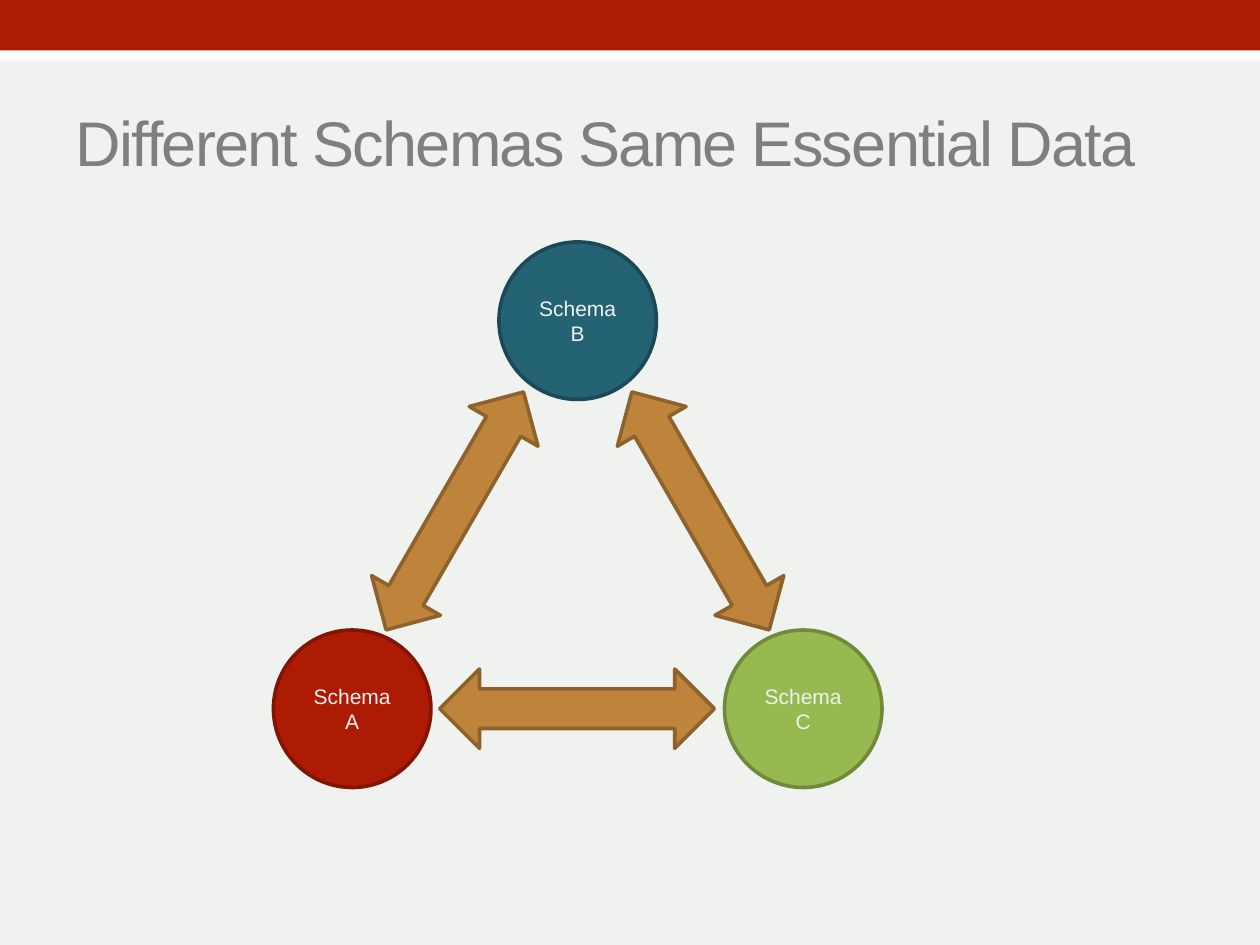
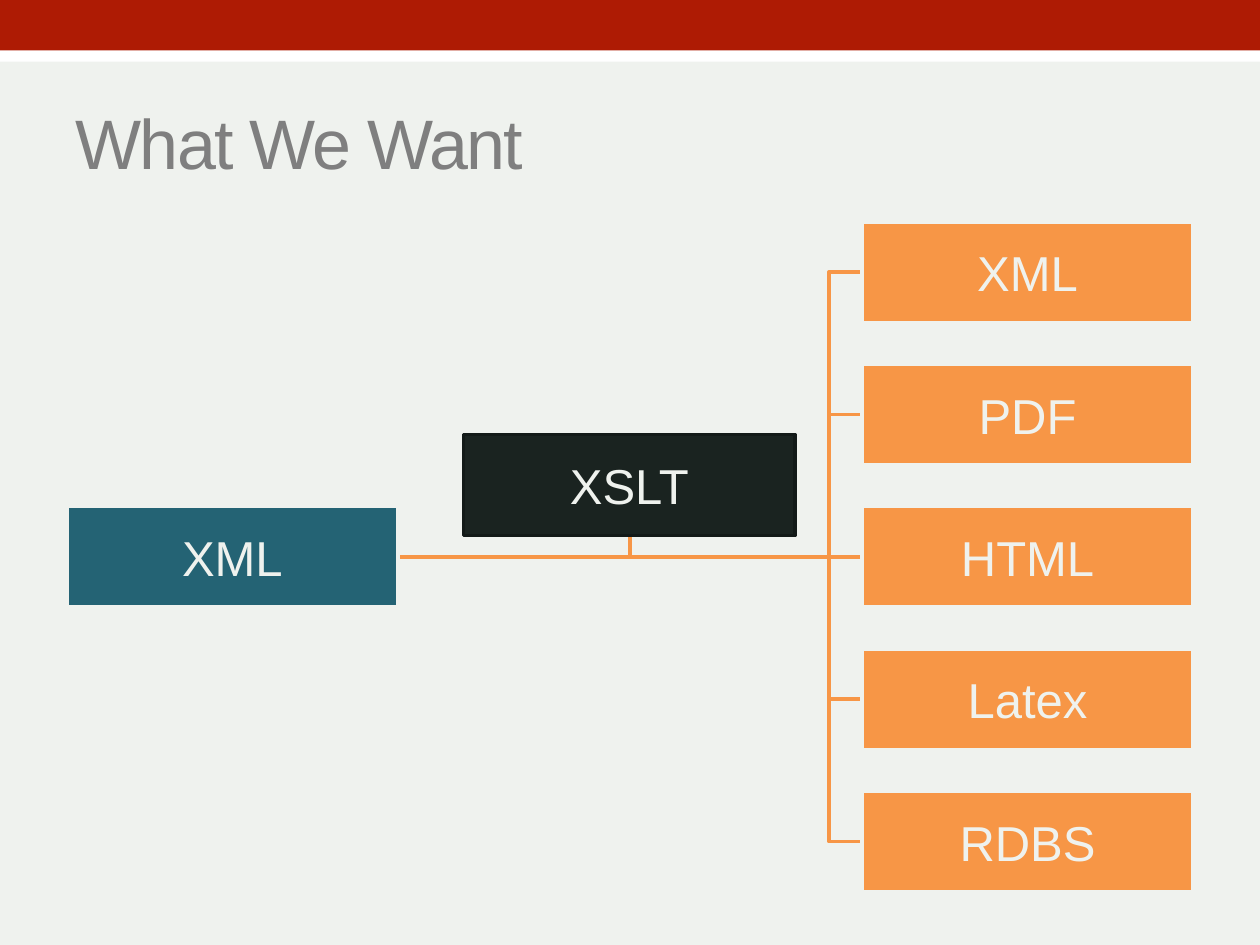
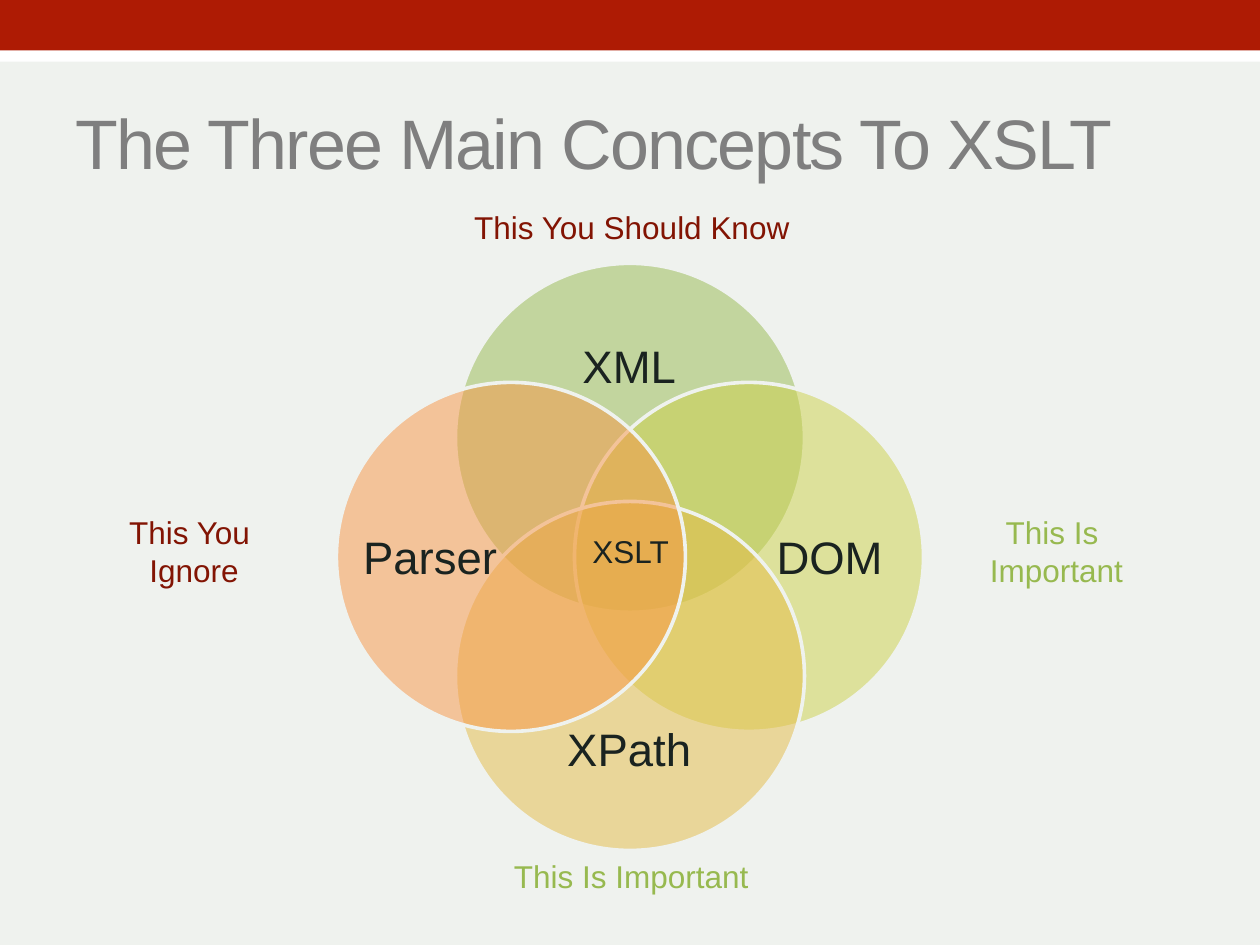
import dataclasses
import typing

import pptx
import pptx.dml.color
import pptx.enum.shapes
import pptx.enum.text
import pptx.oxml
import pptx.oxml.ns
import pptx.util
from lxml import etree

Inches = pptx.util.Inches
Kind = pptx.enum.shapes.MSO_SHAPE
Align = pptx.enum.text.PP_ALIGN
Anchor = pptx.enum.text.MSO_ANCHOR
Fit = pptx.enum.text.MSO_AUTO_SIZE

HUES = {
    "paper": "EFF2EE", "white": "FFFFFF", "title": "7F7F7F", "ink": "1A2320",
    "edge": "131A18", "red": "AE1B04", "maroon": "811403", "warn": "821403",
    "teal": "246374", "navy": "1B4956", "green": "97B94F", "moss": "70893A",
    "tan": "BF843B", "brown": "8D622C", "orange": "F79646",
    "lime": "CCD149", "gold": "E5BC46",
}
FONT = "Arial"
LINE = pptx.util.Pt(2.08)


@dataclasses.dataclass
class Item:
    """A filled shape, with optional text, outline, turn and opacity."""
    kind: Kind
    x: float
    y: float
    w: float
    h: float
    fill: str
    line: str = ""
    text: str = ""
    size: float = 12
    inset: float = 0.1
    turn: float = 0
    alpha: int = 100


@dataclasses.dataclass
class Label:
    """Free text; a label that grows is not wrapped."""
    x: float
    y: float
    w: float
    h: float
    lines: tuple[str, ...]
    size: float
    hue: str = "ink"
    grow: bool = False


def tint(name: str) -> pptx.dml.color.RGBColor:
    return pptx.dml.color.RGBColor.from_string(HUES[name])


def place(x: float, y: float, w: float, h: float) -> list[int]:
    return [Inches(n) for n in (x, y, w, h)]


def write(frame: typing.Any, lines: typing.Iterable[str], size: float, hue: str,
          align: Align = Align.CENTER) -> None:
    for i, line in enumerate(lines):
        para = frame.add_paragraph() if i else frame.paragraphs[0]
        para.alignment = align
        run = para.add_run()
        run.text = line
        run.font.name = FONT
        run.font.size = pptx.util.Pt(size)
        run.font.color.rgb = tint(hue)


def pad(frame: typing.Any, inset: float) -> None:
    frame.margin_left = frame.margin_right = Inches(inset)
    frame.margin_top = frame.margin_bottom = Inches(min(inset, 0.05))


def draw(slide: typing.Any, item: Item) -> typing.Any:
    shape = slide.shapes.add_shape(item.kind, *place(item.x, item.y, item.w, item.h))
    shape.shadow.inherit = False
    shape.rotation = item.turn
    shape.fill.solid()
    shape.fill.fore_color.rgb = tint(item.fill)
    if item.alpha < 100:
        color = shape.element.spPr.find(".//" + pptx.oxml.ns.qn("a:srgbClr"))
        alpha = etree.SubElement(color, pptx.oxml.ns.qn("a:alpha"))
        alpha.set("val", str(item.alpha * 1000))
    if item.line:
        shape.line.color.rgb = tint(item.line)
        shape.line.width = LINE
    else:
        shape.line.fill.background()
    if item.text:
        frame = shape.text_frame
        frame.word_wrap = True
        frame.vertical_anchor = Anchor.MIDDLE
        pad(frame, item.inset)
        write(frame, [item.text], item.size, "paper")
    return shape


def note(slide: typing.Any, label: Label) -> None:
    box = slide.shapes.add_textbox(*place(label.x, label.y, label.w, label.h))
    frame = box.text_frame
    frame.word_wrap = not label.grow
    if label.grow:
        frame.auto_size = Fit.SHAPE_TO_FIT_TEXT
    else:
        frame.vertical_anchor = Anchor.MIDDLE
        pad(frame, 0)
    write(frame, label.lines, label.size, label.hue)


def trace(slide: typing.Any, points: list[tuple[float, float]]) -> None:
    """Draw an open branch through the points."""
    first, *rest = [(Inches(x), Inches(y)) for x, y in points]
    pen = slide.shapes.build_freeform(*first)
    pen.add_line_segments(rest, close=False)
    shape = pen.convert_to_shape()
    shape.shadow.inherit = False
    shape.fill.background()
    shape.line.color.rgb = tint("orange")
    shape.line.width = LINE


def start(prs: typing.Any, text: str, size: float = 40) -> typing.Any:
    """Add a slide with its title."""
    slide = prs.slides.add_slide(prs.slide_layouts[5])
    title = slide.shapes.title
    title.left, title.top, title.width, title.height = place(0.5, 0.58, 9, 1.08)
    frame = title.text_frame
    frame.auto_size = Fit.NONE
    frame.vertical_anchor = Anchor.MIDDLE
    write(frame, [text], size, "title", Align.LEFT)
    frame.paragraphs[0].runs[0].font._element.set("spc", "-100")
    return slide


def dress(prs: typing.Any, slide: typing.Any) -> None:
    """Give the master its background and two bands."""
    master = prs.slide_master
    master.background.fill.solid()
    master.background.fill.fore_color.rgb = tint("paper")
    bands = [Item(Kind.RECTANGLE, 0, 0.24, 10, 0.25, "white"),
             Item(Kind.RECTANGLE, 0, 0, 10, 0.4, "red")]
    for i, band in enumerate(bands):
        master.element.cSld.spTree.insert(2 + i, draw(slide, band).element)


def cycle(prs: typing.Any) -> None:
    slide = start(prs, "Different Schemas Same Essential Data", 36)
    dress(prs, slide)
    # Schemas at the corners of a triangle
    nodes = [("A", 5, "red", "maroon"), ("B", 1.92, "teal", "navy"),
             ("C", 5, "green", "moss")]
    for i, (name, y, fill, line) in enumerate(nodes):
        draw(slide, Item(Kind.OVAL, 2.17 + 1.79 * i, y, 1.25, 1.25, fill, line,
                         f"Schema {name}"))
    # Arrows along the sides
    for x, y, turn in [(2.52, 3.74, 300), (3.49, 5.31, 0), (4.47, 3.74, 60)]:
        draw(slide, Item(Kind.LEFT_RIGHT_ARROW, x, y, 2.18, 0.63, "tan", "brown",
                         turn=turn))


def tree(prs: typing.Any) -> None:
    slide = start(prs, "What We Want")
    wide, high, step = 2.63, 0.8, 1.13
    left, right, bend, mid = 3.16, 6.84, 6.58, 4.42
    names = ["XML", "PDF", "HTML", "Latex", "RDBS"]
    rows = [mid + step * (i - 2) for i in range(len(names))]
    # Branches
    trace(slide, [(left, mid), (5, mid), (5, 4.25)])
    for y in rows:
        if y != mid:
            trace(slide, [(left, mid), (bend, mid), (bend, y), (right, y)])
    trunk = slide.shapes.add_connector(
        pptx.enum.shapes.MSO_CONNECTOR.STRAIGHT,
        Inches(left), Inches(mid), Inches(right), Inches(mid))
    trunk.line.color.rgb = tint("orange")
    trunk.line.width = LINE
    etree.SubElement(trunk.element.spPr, pptx.oxml.ns.qn("a:effectLst"))
    # Source, outputs and the step between
    boxes = [(left - wide, mid, "teal", "paper", "XML")]
    boxes += [(right, y, "orange", "paper", name) for y, name in zip(rows, names)]
    boxes += [(3.68, 3.85, "ink", "edge", "XSLT")]
    for x, y, fill, line, name in boxes:
        draw(slide, Item(Kind.RECTANGLE, x, y - high / 2, wide, high, fill, line,
                         name, 28, 0.02))


def venn(prs: typing.Any) -> None:
    slide = start(prs, "The Three Main Concepts To XSLT")
    # Four circles around one centre, each with its name
    size, shift = 2.77, 0.945
    rings = [
        (0, -1, "green", Label(3.93, 2.46, 2.13, 0.88, ("XML",), 26)),
        (1, 0, "lime", Label(6.05, 3.35, 1.07, 2.13, ("DOM",), 26)),
        (0, 1, "gold", Label(3.93, 5.5, 2.13, 0.88, ("XPath",), 26)),
        (-1, 0, "orange", Label(2.88, 3.35, 1.07, 2.13, ("Parser",), 26)),
    ]
    for dx, dy, fill, label in rings:
        draw(slide, Item(Kind.OVAL, 5 + dx * shift - size / 2,
                         4.42 + dy * shift - size / 2, size, size,
                         fill, "paper", alpha=50))
        note(slide, label)
    # Centre and remarks
    for label in [
        Label(4.6, 4.17, 0.81, 0.4, ("XSLT",), 18, grow=True),
        Label(3.65, 1.6, 2.73, 0.4, ("This You Should Know",), 18, "warn", True),
        Label(0.92, 4.02, 1.24, 0.71, ("This You ", "Ignore"), 18, "warn", True),
        Label(3.97, 6.75, 2.08, 0.4, ("This Is Important",), 18, "green", True),
        Label(7.75, 4.02, 1.27, 0.71, ("This Is ", "Important"), 18, "green", True),
    ]:
        note(slide, label)


def main() -> None:
    prs = pptx.Presentation()
    prs.slide_width, prs.slide_height = Inches(10), Inches(7.5)
    cycle(prs)
    tree(prs)
    venn(prs)
    prs.save("out.pptx")


if __name__ == "__main__":
    main()
